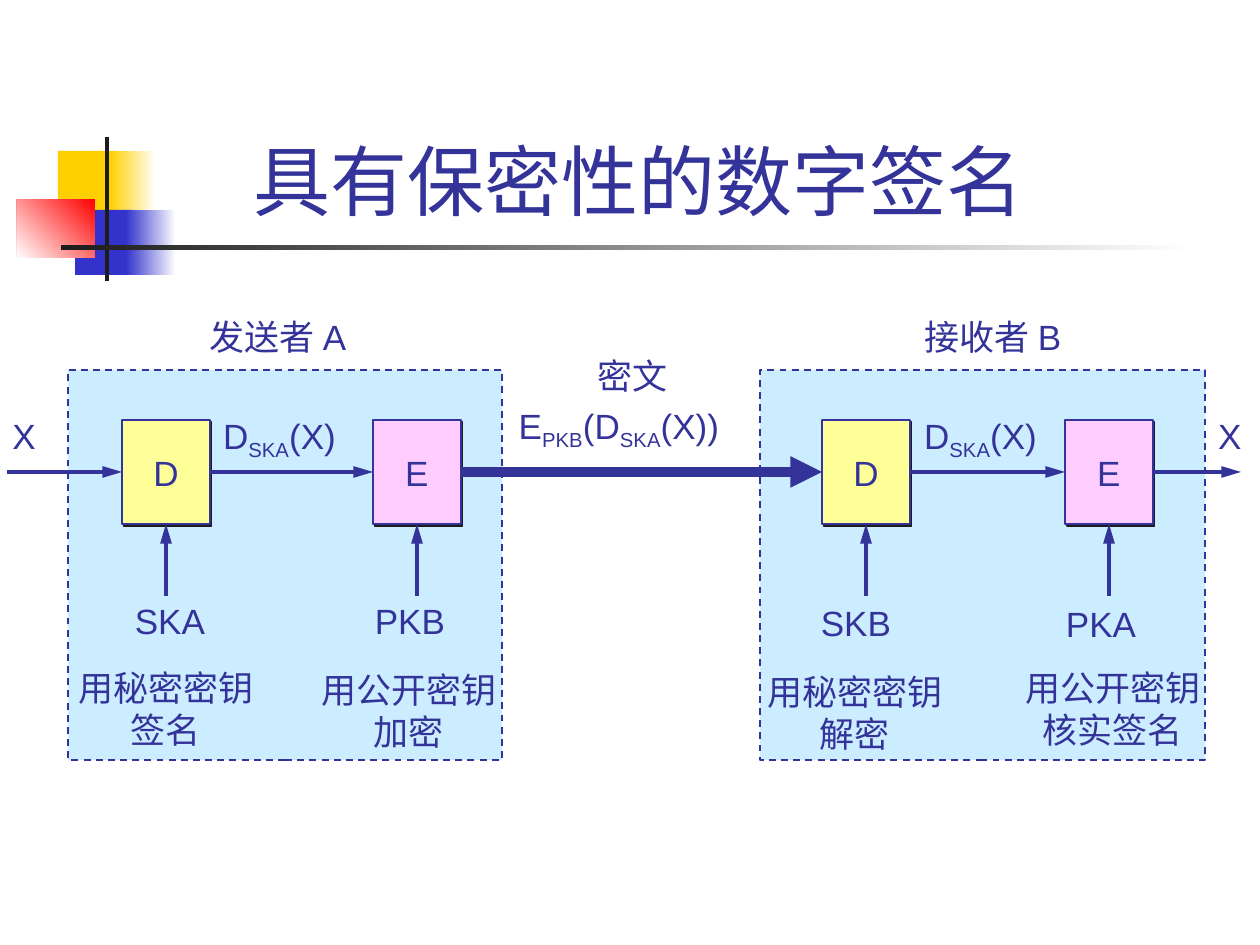
from lxml import etree
from pptx import Presentation
from pptx.dml.color import RGBColor
from pptx.enum.dml import MSO_LINE
from pptx.enum.shapes import MSO_CONNECTOR, MSO_SHAPE
from pptx.enum.text import MSO_ANCHOR, PP_ALIGN
from pptx.oxml.ns import qn
from pptx.util import Emu, Pt

RECTANGLE = MSO_SHAPE.RECTANGLE
STRAIGHT = MSO_CONNECTOR.STRAIGHT
DASH = MSO_LINE.DASH
CENTER = PP_ALIGN.CENTER
TOP, MIDDLE, BOTTOM = MSO_ANCHOR.TOP, MSO_ANCHOR.MIDDLE, MSO_ANCHOR.BOTTOM
LEFT_SIDE, BOTTOM_SIDE, RIGHT_SIDE = 1, 2, 3

PIXEL = 914400 / 126
THEME = {
    "font": "Arial", "title_size": Pt(44), "text_size": Pt(20),
    "ink": RGBColor.from_string("333399"),
    "panel": RGBColor.from_string("CCECFF"),
    "decrypt": RGBColor.from_string("FFFF99"),
    "encrypt": RGBColor.from_string("FFCCFF"),
    "yellow": RGBColor.from_string("FFCF01"),
    "blue": RGBColor.from_string("3333CC"),
    "red": RGBColor.from_string("FF0000"),
    "dark": RGBColor.from_string("1C1C1C"),
    "white": RGBColor.from_string("FFFFFF"),
}

presentation = Presentation()
presentation.slide_width = Emu(round(1260 * PIXEL))
presentation.slide_height = Emu(round(945 * PIXEL))
slide = presentation.slides.add_slide(presentation.slide_layouts[5])


def add_rectangle(bounds, color):
    shape = slide.shapes.add_shape(RECTANGLE, *[Emu(round(v * PIXEL)) for v in bounds])
    shape.shadow.inherit = False
    shape.fill.solid()
    shape.fill.fore_color.rgb = color
    shape.line.fill.background()
    return shape


def write_text(shape, text, size=THEME["text_size"], wrap=False, anchor=TOP):
    """Write centred lines; parts between underscores become subscripts."""
    frame = shape.text_frame
    frame_format = {"word_wrap": wrap, "vertical_anchor": anchor,
                    "margin_left": 0, "margin_right": 0}
    for name, value in frame_format.items():
        setattr(frame, name, value)
    for number, line in enumerate(text.split("\n")):
        paragraph = frame.add_paragraph() if number else frame.paragraphs[0]
        paragraph.alignment = CENTER
        for part, words in enumerate(line.split("_")):
            run = paragraph.add_run()
            run.text = words
            for name, value in {"name": THEME["font"], "size": size}.items():
                setattr(run.font, name, value)
            run.font.color.rgb = THEME["ink"]
            if part % 2:
                run._r.get_or_add_rPr().set("baseline", "-25000")


# Corner ornament and title rule: color, and angle of any gradient
for bounds, color, angle in [
    ((58, 151, 60, 66), "yellow", None), ((110, 151, 46, 66), "yellow", 0),
    ((75, 210, 58, 65), "blue", None), ((126, 210, 50, 65), "blue", 0),
    ((17, 199, 78, 59), "red", 225),
    ((105, 137, 4, 144), "dark", None), ((61, 245, 1134, 5), "dark", 0),
]:
    shape = add_rectangle(bounds, THEME[color])
    if angle is not None:
        shape.fill.gradient()
        shape.fill.gradient_angle = angle
        for stop, stop_color in zip(shape.fill.gradient_stops, (color, "white")):
            stop.color.rgb = THEME[stop_color]

# Title
title = slide.shapes.title
title_bounds = {"left": 150, "top": 30, "width": 978, "height": 202}
for name, value in title_bounds.items():
    setattr(title, name, Emu(round(value * PIXEL)))
write_text(title, "具有保密性的数字签名", THEME["title_size"], True, BOTTOM)

# Sender and receiver panels
for left, width in [(68, 434), (760, 445)]:
    panel = add_rectangle((left, 370, width, 390), THEME["panel"])
    panel.line.color.rgb = THEME["ink"]
    panel.line.width = Pt(1)
    panel.line.dash_style = DASH

# Processing boxes with a hard shadow
BOX_TOP, BOX_WIDTH, BOX_HEIGHT = 420, 88, 104
FLOW_Y = BOX_TOP + BOX_HEIGHT // 2
boxes = []
for left, letter, color in [
    (122, "D", "decrypt"), (373, "E", "encrypt"),
    (822, "D", "decrypt"), (1065, "E", "encrypt"),
]:
    box = add_rectangle((left, BOX_TOP, BOX_WIDTH, BOX_HEIGHT), THEME[color])
    box.line.color.rgb = THEME["ink"]
    box.line.width = Pt(1)
    effects = box._element.spPr.find(qn("a:effectLst"))
    shadow = etree.SubElement(effects, qn("a:outerShdw"), dist="17780", dir="2700000",
                              algn="ctr", rotWithShape="0")
    etree.SubElement(shadow, qn("a:srgbClr"), val=str(THEME["dark"]))
    write_text(box, letter, anchor=MIDDLE)
    boxes.append(box)
sign, encrypt, decrypt, verify = boxes

# Arrows: free start or end point, or the box side joined
arrows = [
    ((7, FLOW_Y), (sign, LEFT_SIDE), 2.25),
    ((sign, RIGHT_SIDE), (encrypt, LEFT_SIDE), 2.25),
    ((encrypt, RIGHT_SIDE), (decrypt, LEFT_SIDE), 6),
    ((decrypt, RIGHT_SIDE), (verify, LEFT_SIDE), 2.25),
    ((verify, RIGHT_SIDE), (1241, FLOW_Y), 2.25),
]
for box in boxes:
    center = round((box.left + box.width / 2) / PIXEL)
    arrows.append(((center, 596), (box, BOTTOM_SIDE), 2.25))
for start, end, width in arrows:
    points = [Emu(round(v * PIXEL)) if isinstance(v, int) else Emu(0)
              for v in (*start, *end)]
    arrow = slide.shapes.add_connector(STRAIGHT, *points)
    for place, join in [(start, arrow.begin_connect), (end, arrow.end_connect)]:
        if place[0] in boxes:
            join(*place)
    arrow.line.color.rgb = THEME["ink"]
    arrow.line.width = Pt(width)
    etree.SubElement(arrow.line._get_or_add_ln(), qn("a:tailEnd"), type="triangle",
                     w="med", len="med" if width == 6 else "lg")
    etree.SubElement(arrow._element.spPr, qn("a:effectLst"))

# Labels: left, top, width, height
for bounds, text in [
    ((193, 309, 170, 54), "发送者 A"), ((908, 309, 170, 54), "接收者 B"),
    ((585, 348, 96, 54), "密文"), ((506, 398, 226, 60), "E_PKB_(D_SKA_(X))"),
    ((0, 408, 48, 54), "X"), ((1206, 408, 48, 54), "X"),
    ((211, 408, 137, 60), "D_SKA_(X)"), ((912, 408, 137, 60), "D_SKA_(X)"),
    ((122, 593, 96, 54), "SKA"), ((362, 593, 96, 54), "PKB"),
    ((808, 595, 96, 54), "SKB"), ((1053, 596, 96, 54), "PKA"),
    ((66, 660, 200, 96), "用秘密密钥\n签名"), ((309, 662, 200, 96), "用公开密钥\n加密"),
    ((755, 664, 200, 96), "用秘密密钥\n解密"), ((1013, 660, 200, 96), "用公开密钥\n核实签名"),
]:
    label = slide.shapes.add_textbox(*[Emu(round(v * PIXEL)) for v in bounds])
    write_text(label, text)

presentation.save("out.pptx")
